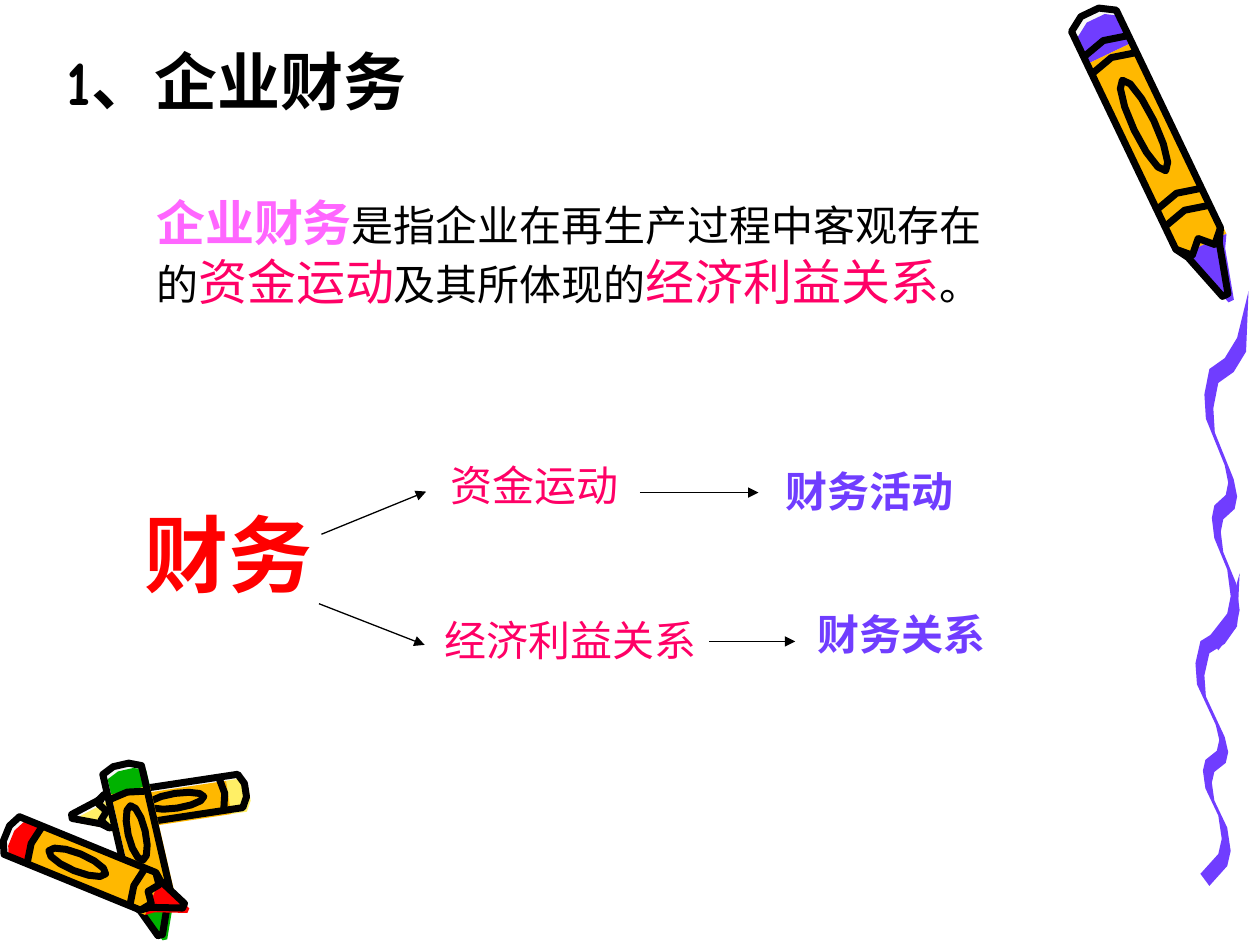
"""Slide on enterprise finance with a border of crayons and a drawn wavy line."""
import math

from lxml import etree
from pptx import Presentation
from pptx.dml.color import RGBColor
from pptx.enum import shapes, text
from pptx.oxml import ns
from pptx.util import Cm, Pt

BLACK = RGBColor(0x00, 0x00, 0x00)
PURPLE = RGBColor(0x70, 0x3D, 0xFF)
ORANGE = RGBColor(0xFF, 0xB8, 0x00)
PAPER = RGBColor(0xF8, 0xF8, 0xF8)
CREAM = RGBColor(0xFF, 0xEF, 0x66)
RED = RGBColor(0xFF, 0x00, 0x00)
GREEN = RGBColor(0x00, 0xB2, 0x00)
PINK = RGBColor(0xFF, 0x66, 0xFF)
ROSE = RGBColor(0xFF, 0x00, 0x66)

LATIN, CJK = "Comic Neue", "Noto Sans CJK SC"
LINE_HEIGHT = 1.22
INK_WIDTH = 4
COLOR_SHIFT = 0.12

TITLE = ((1.09, 0.71, 10.16, 1.78), LATIN, [("1、企业财务", 36, BLACK, True)])
DEFINITION = ((2.9, 3.73, 17.2, 2.64), CJK, [
    ("企业财务", 28, PINK, True),
    ("是指企业在再生产过程中客观存在的", 24, BLACK, False),
    ("资金运动", 28, ROSE, False),
    ("及其所体现的", 24, BLACK, False),
    ("经济利益关系", 28, ROSE, False),
    ("。", 24, BLACK, False),
])
DIAGRAM = [
    ((2.67, 9.98, 4.65, 2.29), LATIN, [("财务", 48, RED, True)]),
    ((8.84, 9.12, 4.19, 1.27), LATIN, [("资金运动", 24, ROSE, False)]),
    ((8.71, 12.24, 5.82, 1.27), LATIN, [("经济利益关系", 24, ROSE, False)]),
    ((15.58, 9.25, 4.45, 1.27), LATIN, [("财务活动", 24, PURPLE, True)]),
    ((16.23, 12.12, 4.88, 1.27), LATIN, [("财务关系", 24, PURPLE, True)]),
]
ARROWS = [
    (6.48, 10.77, 8.59, 9.91),
    (6.43, 12.17, 8.56, 13.0),
    (12.9, 9.93, 15.29, 9.93),
    (14.3, 12.93, 16.03, 12.93),
]

CRAYONS = [
    {"tail": (21.97, 0.25), "tip": (24.7, 5.95), "width": 1.0, "color": PURPLE,
     "bands": (0.1, 0.16, 0.64, 0.7)},
    {"tail": (4.95, 15.93), "tip": (1.45, 16.46), "width": 0.68, "color": CREAM,
     "bands": (0.12,)},
    {"tail": (2.44, 15.42), "tip": (3.23, 18.85), "width": 0.8, "color": GREEN,
     "bands": (0.16,)},
    {"tail": (0.13, 16.8), "tip": (3.7, 18.26), "width": 0.82, "color": RED,
     "bands": (0.14, 0.72)},
]
CAP_END, SHOULDER = 0.12, 0.8
CAP = [(CAP_END, -0.5), (0.03, -0.5), (0, -0.2), (0, 0.2), (0.03, 0.5), (CAP_END, 0.5)]
BODY = [(CAP_END, -0.5), (SHOULDER, -0.5), (SHOULDER, 0.5), (CAP_END, 0.5)]
POINT = [(SHOULDER, 0.5), (0.84, 0.35), (1, 0.06), (1, -0.06), (0.84, -0.35), (SHOULDER, -0.5)]
OUTLINE = CAP + POINT
FRAY = [(SHOULDER + 0.04 * (i % 2), i / 4 - 0.5) for i in range(5)]
LABEL = [(0.4 + 0.16 * math.cos(i * math.pi / 6), 0.22 * math.sin(i * math.pi / 6))
         for i in range(12)]

WAVE_TIP = (0.89, 0)
WAVE_EDGE = [(0.66, 0.94), (0.41, 1.35), (0.1, 1.57), (0, 2.08), (0.03, 2.57),
             (0.41, 3.51), (0.48, 3.86), (0.43, 4.11), (0.2, 4.32), (0.15, 4.57),
             (0.2, 4.98), (0.46, 5.61), (0.53, 6.15), (0.46, 6.5), (0.1, 6.96)]
NIB = (0.18, 0.28)
WAVES = [((24.1, 11.56), 0.87), ((24.28, 5.87), 1)]


def add_outline(s, points, fill=None, ink=0, close=True):
    """Draw a polygon or open line through points given in centimetres."""
    start, *rest = [(Cm(x), Cm(y)) for x, y in points]
    builder = s.shapes.build_freeform(*start, scale=1.0)
    builder.add_line_segments(rest, close=close)
    sp = builder.convert_to_shape()
    sp.shadow.inherit = False
    if fill is None:
        sp.fill.background()
    else:
        sp.fill.solid()
        sp.fill.fore_color.rgb = fill
    if ink:
        sp.line.color.rgb = BLACK
        sp.line.width = Pt(ink)
    else:
        sp.line.fill.background()


def add_crayon(s, tail, tip, width, color, bands):
    """Lay down paper, then shifted colour, then ink along the crayon's axis."""
    dx, dy = tip[0] - tail[0], tip[1] - tail[1]
    length = math.hypot(dx, dy)

    def place(part, shift=0):
        return [(tail[0] + u * dx - v * width * dy / length + shift,
                 tail[1] + u * dy + v * width * dx / length + shift) for u, v in part]

    add_outline(s, place(OUTLINE), PAPER)
    for part, fill in ((CAP, color), (BODY, ORANGE), (POINT, color)):
        add_outline(s, place(part, COLOR_SHIFT * width), fill)
    for part in (OUTLINE, LABEL):
        add_outline(s, place(part), ink=INK_WIDTH)
    curves = [[(u + 0.02, -0.5), (u, 0), (u + 0.02, 0.5)] for u in bands]
    for part in curves + [FRAY]:
        add_outline(s, place(part), ink=INK_WIDTH, close=False)


def add_wave(s, origin, stretch):
    """Sweep a slanted nib along the wave's left edge."""
    far_edge = [(x + NIB[0], y + NIB[1]) for x, y in reversed(WAVE_EDGE)]
    points = [WAVE_TIP] + WAVE_EDGE + far_edge
    add_outline(s, [(origin[0] + x, origin[1] + y * stretch) for x, y in points], PURPLE)


def add_arrow(s, ends):
    """Draw a thin line with a triangular head."""
    sp = s.shapes.add_connector(shapes.MSO_CONNECTOR.STRAIGHT, *map(Cm, ends))
    sp.line.color.rgb = BLACK
    sp.line.width = Pt(0.75)
    ln = sp._element.spPr.find(ns.qn("a:ln"))
    etree.SubElement(ln, ns.qn("a:tailEnd"), type="triangle")
    etree.SubElement(sp._element.spPr, ns.qn("a:effectLst"))


def add_text(s, box, font, runs):
    """Write one paragraph whose line height follows its largest run."""
    tf = s.shapes.add_textbox(*map(Cm, box)).text_frame
    tf.word_wrap = True
    tf.auto_size = text.MSO_AUTO_SIZE.NONE
    tf.margin_right = 0
    p = tf.paragraphs[0]
    p.line_spacing = Pt(LINE_HEIGHT * max(size for _, size, _, _ in runs))
    for words, size, color, bold in runs:
        r = p.add_run()
        r.text = words
        r.font.size = Pt(size)
        r.font.bold = bold
        r.font.color.rgb = color
        r.font.name = font
        etree.SubElement(r.font._element, ns.qn("a:ea"), typeface=CJK)


def main():
    """Build and save the slide."""
    prs = Presentation()
    prs.slide_width, prs.slide_height = Cm(25.4), Cm(19.05)
    s = prs.slides.add_slide(prs.slide_layouts[6])
    for crayon in CRAYONS:
        add_crayon(s, **crayon)
    for origin, stretch in WAVES:
        add_wave(s, origin, stretch)
    for ends in ARROWS:
        add_arrow(s, ends)
    for box, font, runs in [TITLE, DEFINITION] + DIAGRAM:
        add_text(s, box, font, runs)
    prs.save("out.pptx")


if __name__ == "__main__":
    main()
